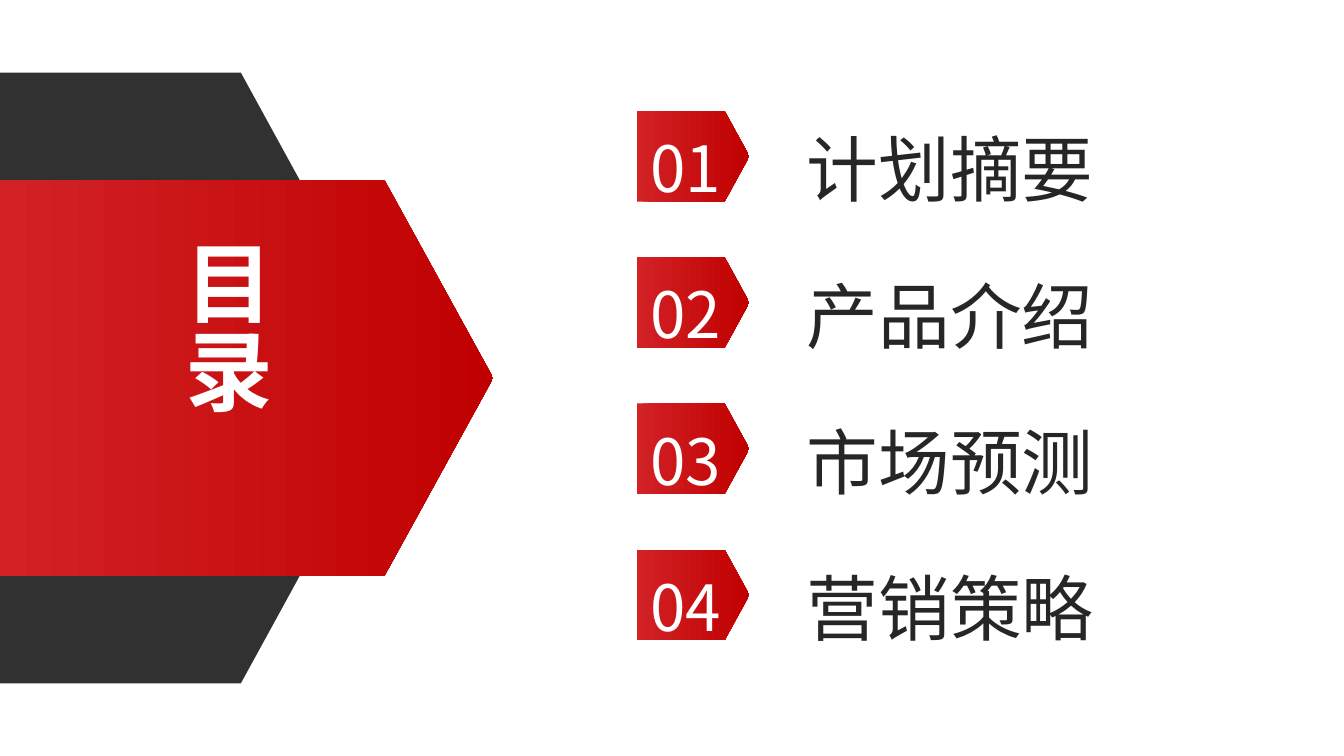
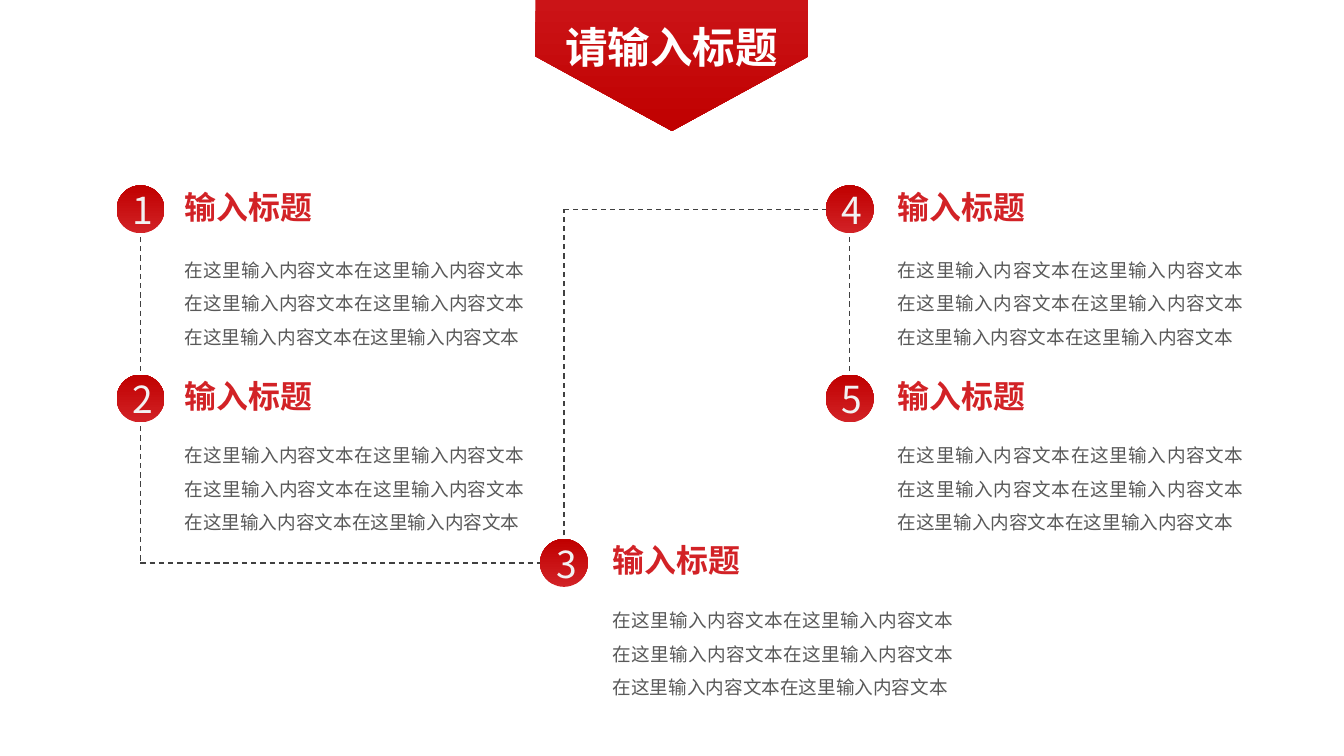
"""Build a contents slide and a five-step process slide in red and charcoal."""
from dataclasses import dataclass, field
from itertools import pairwise

from lxml.etree import SubElement
from pptx import Presentation
from pptx.dml.color import RGBColor
from pptx.enum.dml import MSO_LINE
from pptx.enum.shapes import MSO_CONNECTOR, MSO_SHAPE
from pptx.enum.text import MSO_ANCHOR, MSO_AUTO_SIZE, PP_ALIGN
from pptx.oxml.ns import qn
from pptx.util import Inches, Pt

RED = RGBColor(0xD2, 0x22, 0x26)
MID_RED = RGBColor(0xCB, 0x14, 0x17)
DEEP_RED = RGBColor(0xC0, 0x00, 0x00)
CHARCOAL = RGBColor(0x31, 0x31, 0x31)
INK = RGBColor(0x26, 0x26, 0x26)
LINE_GREY = RGBColor(0x40, 0x40, 0x40)
BODY_GREY = RGBColor(0x59, 0x59, 0x59)
PALE = RGBColor(0xF2, 0xF2, 0xF2)
WHITE = RGBColor(0xFF, 0xFF, 0xFF)

FONT = "Noto Sans CJK SC"
GROW = MSO_AUTO_SIZE.SHAPE_TO_FIT_TEXT
NO_MARGINS = {f"margin_{side}": 0 for side in ("left", "top", "right", "bottom")}
RIGHTWARD, UPWARD, DOWNWARD = 0, 90, 270

CONTENTS = ("计划摘要", "产品介绍", "市场预测", "营销策略")
CONTENTS_PITCH = 1.53
STEP_TITLE = "输入标题"
STEP_BODY = "在这里输入内容文本" * 6
CIRCLE = 0.5


@dataclass(frozen=True)
class TextStyle:
    size: float
    color: RGBColor | None
    bold: bool = False
    spacing: float = 0
    frame: dict = field(default_factory=dict)
    para: dict = field(default_factory=dict)


@dataclass(frozen=True)
class Step:
    x: float
    y: float
    text_x: float
    body_y: float
    width: float


CENTER = {"alignment": PP_ALIGN.CENTER}
GROWING = {**NO_MARGINS, "auto_size": GROW}
MIDDLE = {**NO_MARGINS, "vertical_anchor": MSO_ANCHOR.MIDDLE}
CONTENTS_TITLE = TextStyle(66, WHITE, True, frame={**MIDDLE, "auto_size": GROW}, para=CENTER)
CONTENTS_NUMBER = TextStyle(48, WHITE, frame=GROWING, para=CENTER)
CONTENTS_LABEL = TextStyle(54, INK, frame=MIDDLE)
BANNER_TITLE = TextStyle(32, WHITE, True, frame={"auto_size": GROW, "word_wrap": False}, para=CENTER)
STEP_NUMBER = TextStyle(28, PALE, spacing=4, frame={**GROWING, "word_wrap": False}, para=CENTER)
STEP_HEADING = TextStyle(24, None, True, frame=GROWING)
STEP_TEXT = TextStyle(14, BODY_GREY, frame=GROWING,
                      para={"alignment": PP_ALIGN.JUSTIFY, "line_spacing": 1.5})

STEPS = (
    Step(1.22, 1.94, 1.93, 2.59, 3.56),
    Step(1.22, 3.92, 1.93, 4.53, 3.56),
    Step(5.65, 5.64, 6.41, 6.26, 3.57),
    Step(8.64, 1.94, 9.39, 2.59, 3.62),
    Step(8.64, 3.92, 9.39, 4.53, 3.62),
)


def apply(target, values: dict) -> None:
    for name, value in values.items():
        setattr(target, name, value)


def fill_gradient(fill, angle: float, start: RGBColor = RED) -> None:
    fill.gradient()
    fill.gradient_angle = angle
    for stop, color in zip(fill.gradient_stops, (start, DEEP_RED)):
        stop.color.rgb = color


def finish(sp) -> None:
    sp.line.fill.background()
    sp.shadow.inherit = False


def add_polygon(s, points: list[tuple[float, float]]):
    start, *rest = [(Inches(x), Inches(y)) for x, y in points]
    builder = s.shapes.build_freeform(*start, scale=1.0)
    builder.add_line_segments(rest, close=True)
    sp = builder.convert_to_shape()
    finish(sp)
    return sp


def add_arrow(s, x: float, y: float, shoulder: float, tip: float, height: float):
    return add_polygon(s, [(x, y), (x + shoulder, y), (x + tip, y + height / 2),
                           (x + shoulder, y + height), (x, y + height)])


def add_text(s, text: str, x: float, y: float, w: float, h: float, style: TextStyle):
    sp = s.shapes.add_textbox(Inches(x), Inches(y), Inches(w), Inches(h))
    tf = sp.text_frame
    apply(tf, {"word_wrap": True, **style.frame})
    p = tf.paragraphs[0]
    apply(p, style.para)
    r = p.add_run()
    r.text = text
    apply(r.font, {"name": FONT, "size": Pt(style.size), "bold": style.bold})
    if style.color is None:
        fill_gradient(r.font.fill, UPWARD)
    else:
        r.font.color.rgb = style.color
    props = r.font._element
    SubElement(props, qn("a:ea")).set("typeface", FONT)
    if style.spacing:
        props.set("spc", str(int(style.spacing * 100)))
    return sp


def add_dashed_line(s, start: tuple[float, float], end: tuple[float, float]) -> None:
    ends = [Inches(v) for v in (*start, *end)]
    line = s.shapes.add_connector(MSO_CONNECTOR.STRAIGHT, *ends)
    line.line.color.rgb = LINE_GREY
    apply(line.line, {"width": Pt(1), "dash_style": MSO_LINE.DASH})
    SubElement(line._element.spPr, qn("a:effectLst"))


def add_step(s, number: int, step: Step) -> None:
    sp = s.shapes.add_shape(MSO_SHAPE.OVAL, Inches(step.x), Inches(step.y),
                            Inches(CIRCLE), Inches(CIRCLE))
    fill_gradient(sp.fill, UPWARD)
    finish(sp)
    add_text(s, str(number), step.x + 0.14, step.y + 0.02, 0.27, 0.47, STEP_NUMBER)
    add_text(s, STEP_TITLE, step.text_x, step.y + 0.02, 2.4, 0.4, STEP_HEADING)
    add_text(s, STEP_BODY, step.text_x, step.body_y, step.width, 1.06, STEP_TEXT)


def build_contents(s) -> None:
    back = add_arrow(s, 0, 0.76, 2.52, 4.27, 6.39)
    back.fill.solid()
    back.fill.fore_color.rgb = CHARCOAL
    fill_gradient(add_arrow(s, 0, 1.88, 4.02, 5.16, 4.15).fill, RIGHTWARD)
    title = add_text(s, "目录", 1.81, 2.51, 1.11, 2.88, CONTENTS_TITLE)
    title.text_frame._txBody.bodyPr.set("vert", "eaVert")
    for i, label in enumerate(CONTENTS):
        y = 1.16 + i * CONTENTS_PITCH
        fill_gradient(add_arrow(s, 6.66, y, 0.92, 1.18, 0.95).fill, RIGHTWARD)
        add_text(s, f"{i + 1:02}", 6.66, y + 0.19, 1.03, 0.81, CONTENTS_NUMBER)
        add_text(s, label, 8.44, y + 0.25, 4.23, 0.7, CONTENTS_LABEL)


def build_process(s) -> None:
    first, second, third, fourth, fifth = [
        (step.x + CIRCLE / 2, step.y + CIRCLE / 2) for step in STEPS]
    route = (first, second, (second[0], third[1]), third,
             (third[0], fourth[1]), fourth, fifth)
    for start, end in pairwise(route):
        add_dashed_line(s, start, end)
    for number, step in enumerate(STEPS, 1):
        add_step(s, number, step)
    banner = add_polygon(s, [(5.6, 0), (8.46, 0), (8.46, 0.59), (7.03, 1.37), (5.6, 0.59)])
    fill_gradient(banner.fill, DOWNWARD, MID_RED)
    add_text(s, "请输入标题", 5.8, 0.17, 2.45, 0.64, BANNER_TITLE)


def main() -> None:
    prs = Presentation()
    apply(prs, {"slide_width": Inches(14.06), "slide_height": Inches(7.91)})
    for build in (build_contents, build_process):
        build(prs.slides.add_slide(prs.slide_layouts[6]))
    prs.save("out.pptx")


if __name__ == "__main__":
    main()
